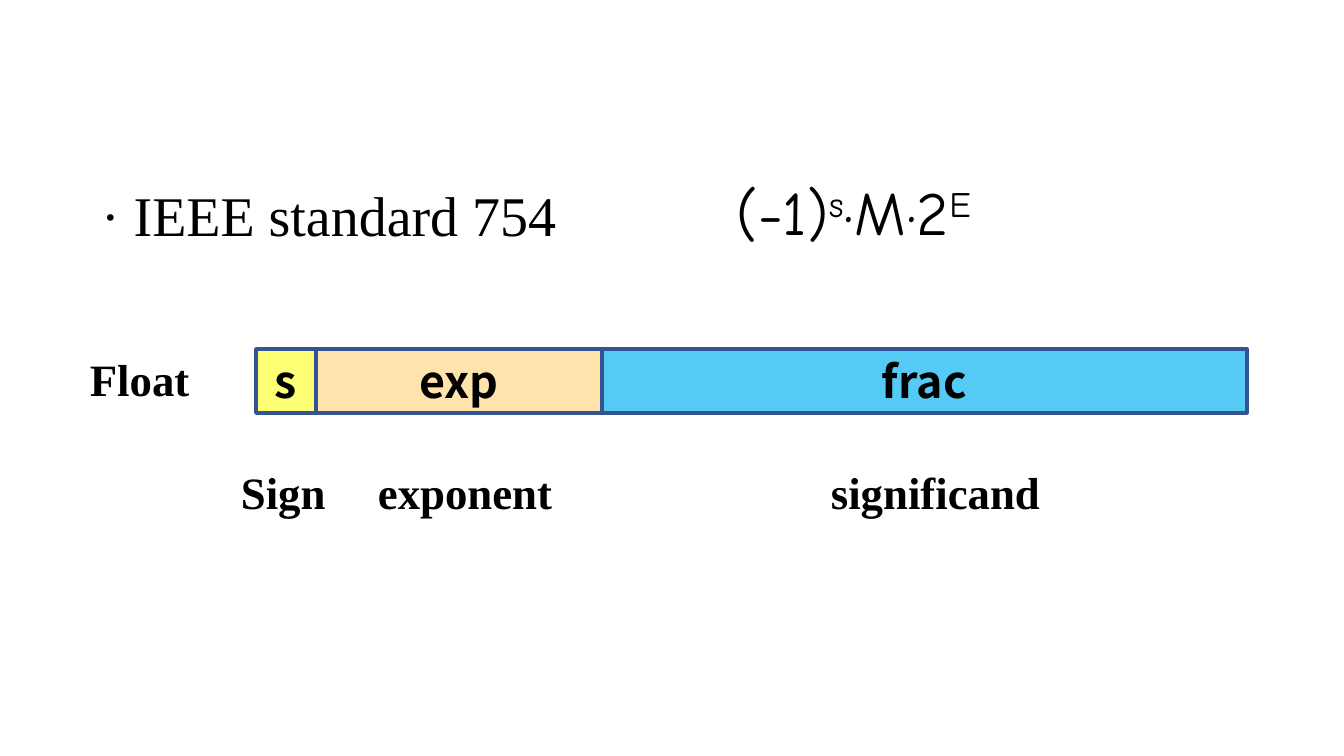
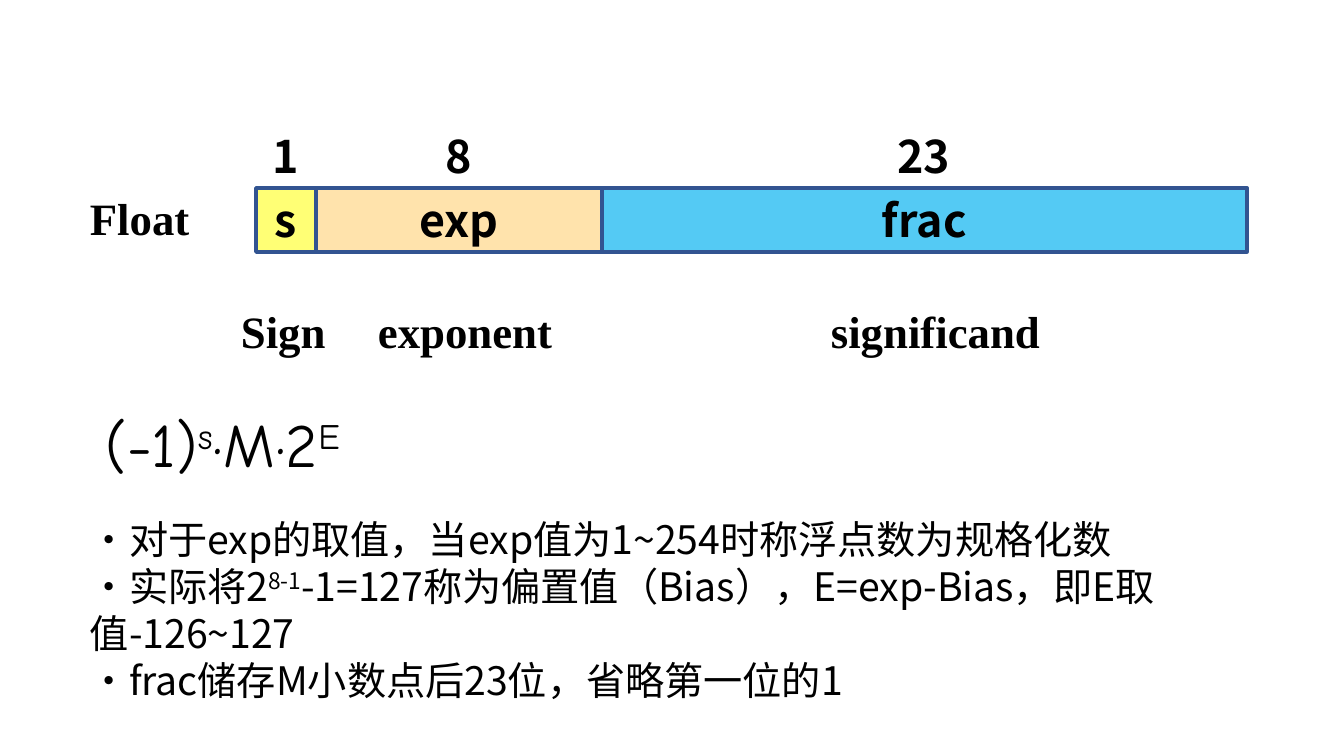
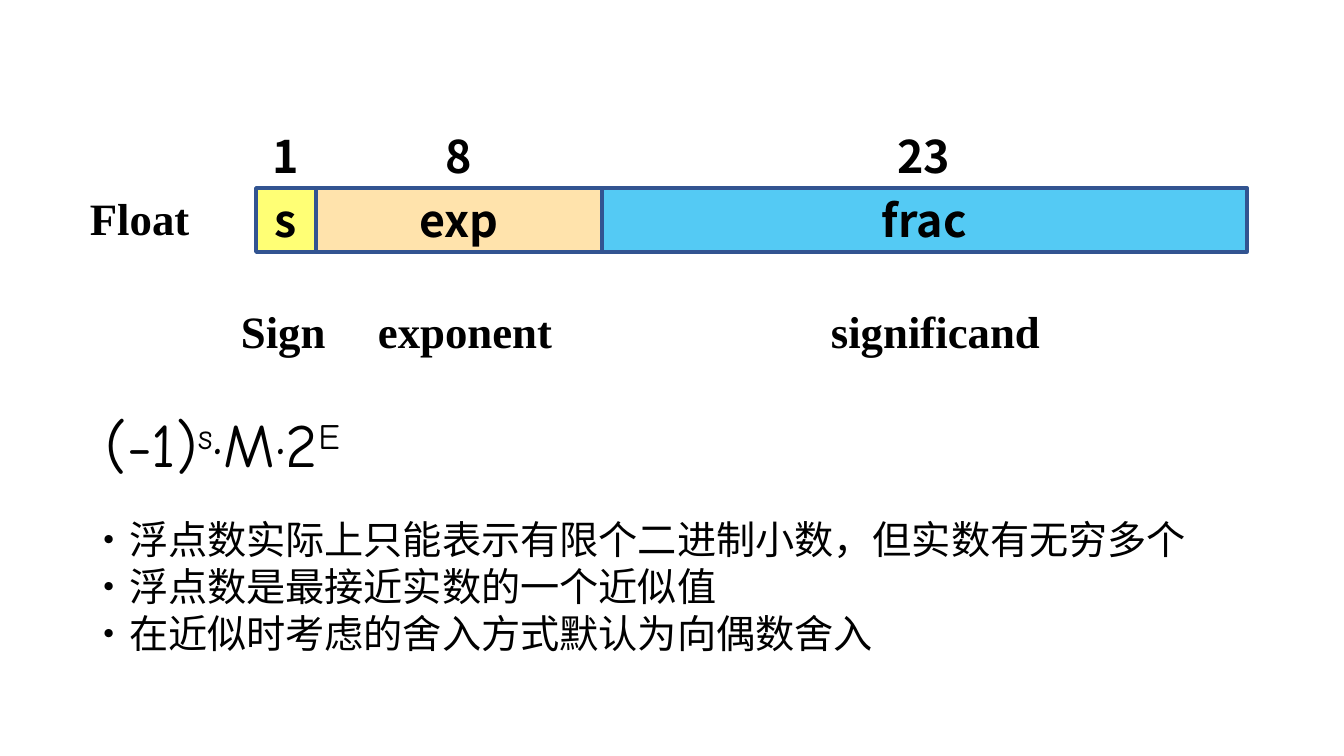
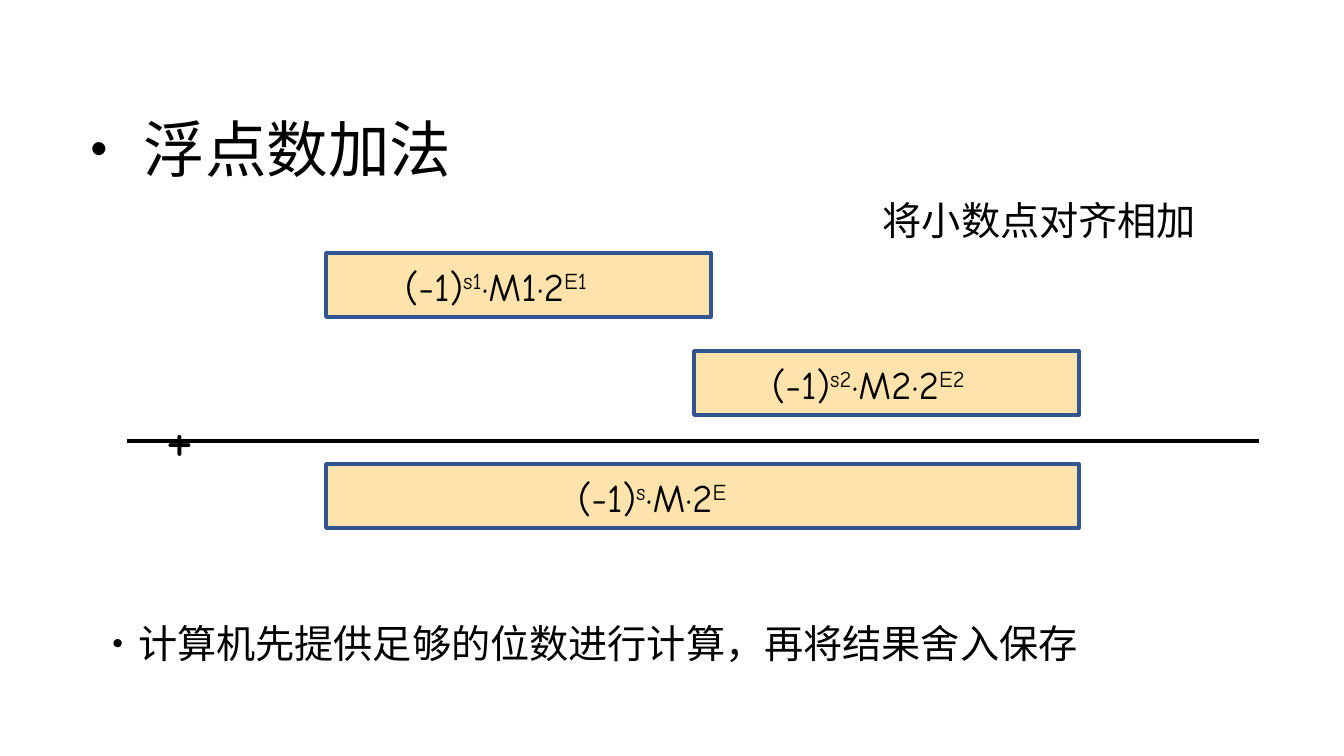
from lxml.etree import SubElement
from pptx import Presentation
from pptx.dml.color import RGBColor
from pptx.enum.shapes import MSO_CONNECTOR, MSO_SHAPE
from pptx.enum.text import MSO_ANCHOR, MSO_AUTO_SIZE, PP_ALIGN
from pptx.oxml.ns import qn
from pptx.util import Emu, Pt

SCALE = 914400 / 100.8
COLORS = {
    "text": "000000",
    "outline": "325491",
    "sign": "FFFF00",
    "exponent": "FFCC66",
    "fraction": "00B0F0",
}
SERIF, SANS, HAND = "Times New Roman", "Noto Sans CJK SC", "Comic Neue"
LEFT, CENTER = PP_ALIGN.LEFT, PP_ALIGN.CENTER
FLOAT_FORMULA = "(-1)^s^·M·2^E"
FIELD_HEIGHT = 64


def put_text(slide, text, place, size=32, font=SERIF, bold=False, align=LEFT,
             anchor=MSO_ANCHOR.TOP, shape=None):
    """Write text into shape, or into a new box; ^ switches superscript on and off."""
    box = [Emu(round(length * SCALE)) for length in place]
    if shape is None:
        shape = slide.shapes.add_textbox(*box)
    shape.left, shape.top, shape.width, shape.height = box
    frame = shape.text_frame
    frame.word_wrap = True
    frame.vertical_anchor = anchor
    frame.auto_size = (MSO_AUTO_SIZE.SHAPE_TO_FIT_TEXT if anchor == MSO_ANCHOR.TOP
                       else MSO_AUTO_SIZE.NONE)
    for number, line in enumerate(text.split("\n")):
        paragraph = frame.add_paragraph() if number else frame.paragraphs[0]
        paragraph.alignment = align
        for index, piece in enumerate(line.split("^")):
            run = paragraph.add_run()
            run.text = piece
            run.font.size = Pt(size)
            run.font.bold = bold
            run.font.name = font
            run.font.color.rgb = RGBColor.from_string(COLORS["text"])
            properties = run._r.get_or_add_rPr()
            SubElement(properties, qn("a:ea")).set("typeface", font)
            if index % 2 or text == "^+":
                properties.set("baseline", "30000")


def add_field(slide, color, place, opacity=54, label=None):
    box = [Emu(round(length * SCALE)) for length in place]
    field = slide.shapes.add_shape(MSO_SHAPE.RECTANGLE, *box)
    field.shadow.inherit = False
    field.fill.solid()
    field.fill.fore_color.rgb = RGBColor.from_string(COLORS[color])
    tint = field._element.spPr.find(qn("a:solidFill"))[0]
    SubElement(tint, qn("a:alpha")).set("val", str(opacity * 1000))
    field.line.color.rgb = RGBColor.from_string(COLORS["outline"])
    field.line.width = Pt(2.5)
    if label:
        put_text(slide, label, place, font=SANS, bold=True, align=CENTER,
                 anchor=MSO_ANCHOR.MIDDLE, shape=field)


presentation = Presentation()
presentation.slide_width = Emu(round(1344 * SCALE))
presentation.slide_height = Emu(round(756 * SCALE))
title_only, blank = presentation.slide_layouts[5], presentation.slide_layouts[6]

# Slides 1 to 3: the layout of a float
FIELDS = [
    ("s", "sign", 256, 316, 54),
    ("exp", "exponent", 316, 602, 54),
    ("frac", "fraction", 602, 1247, 67),
]
FIELD_NAMES = [("Sign", 231, 117), ("exponent", 368, 221), ("significand", 821, 337)]
BIT_COUNTS = [("1", 256, 59), ("8", 429, 59), ("23", 857, 134)]
NORMALIZED = """·对于exp的取值，当exp值为1~254时称浮点数为规格化数
·实际将2^8-1^-1=127称为偏置值（Bias），E=exp-Bias，即E取值-126~127
·frac储存M小数点后23位，省略第一位的1"""
ROUNDING = """·浮点数实际上只能表示有限个二进制小数，但实数有无穷多个
·浮点数是最接近实数的一个近似值
·在近似时考虑的舍入方式默认为向偶数舍入"""

for title, bar_top, formula_left, formula_top, notes in [
    ("· IEEE standard 754", 349, 727, 169, None),
    (None, 188, 96, 401, NORMALIZED),
    (None, 188, 96, 401, ROUNDING),
]:
    slide = presentation.slides.add_slide(title_only if title else blank)
    if title:
        put_text(slide, title, (91, 175, 582, 78), size=40, shape=slide.shapes.title)
    for label, color, left, right, opacity in FIELDS:
        add_field(slide, color, (left, bar_top, right - left, FIELD_HEIGHT), opacity, label)
    put_text(slide, "Float", (80, bar_top - 2, 137, 65), bold=True)
    for name, left, width in FIELD_NAMES:
        put_text(slide, name, (left, bar_top + 111, width, 65), bold=True)
    put_text(slide, FLOAT_FORMULA, (formula_left, formula_top, 667, 85), size=44, font=HAND)
    if notes:
        for count, left, width in BIT_COUNTS:
            put_text(slide, count, (left, bar_top - 64, width, 65), font=SANS,
                     bold=True, align=CENTER)
        put_text(slide, notes, (80, 510, 1255, 152), size=28, font=SANS)

# Slide 4: floating-point addition
slide = presentation.slides.add_slide(title_only)
put_text(slide, "· 浮点数加法", (58, 106, 582, 85), size=44, font=SANS,
         shape=slide.shapes.title)
for formula, left, top, width, formula_left, formula_width in [
    ("(-1)^s1^·M1·2^E1", 326, 253, 385, 395, 245),
    ("(-1)^s2^·M2·2^E2", 694, 351, 385, 762, 261),
    (FLOAT_FORMULA, 326, 464, 753, 568, 511),
]:
    add_field(slide, "exponent", (left, top, width, FIELD_HEIGHT))
    put_text(slide, formula, (formula_left, top + 4, formula_width, 57), size=28, font=HAND)

sum_line = slide.shapes.add_connector(
    MSO_CONNECTOR.STRAIGHT, *[Emu(round(length * SCALE)) for length in (127, 441, 1259, 441)])
sum_line.line.color.rgb = RGBColor.from_string(COLORS["text"])
sum_line.line.width = Pt(3.5)
SubElement(sum_line._element.spPr, qn("a:effectLst"))

put_text(slide, "^+", (156, 378, 84, 101), size=80, font=HAND)
put_text(slide, "·计算机先提供足够的位数进行计算，再将结果舍入保存", (89, 614, 1255, 57),
         size=28, font=SANS)
put_text(slide, "将小数点对齐相加", (873, 191, 337, 57), size=28, font=SANS)

presentation.save("out.pptx")
